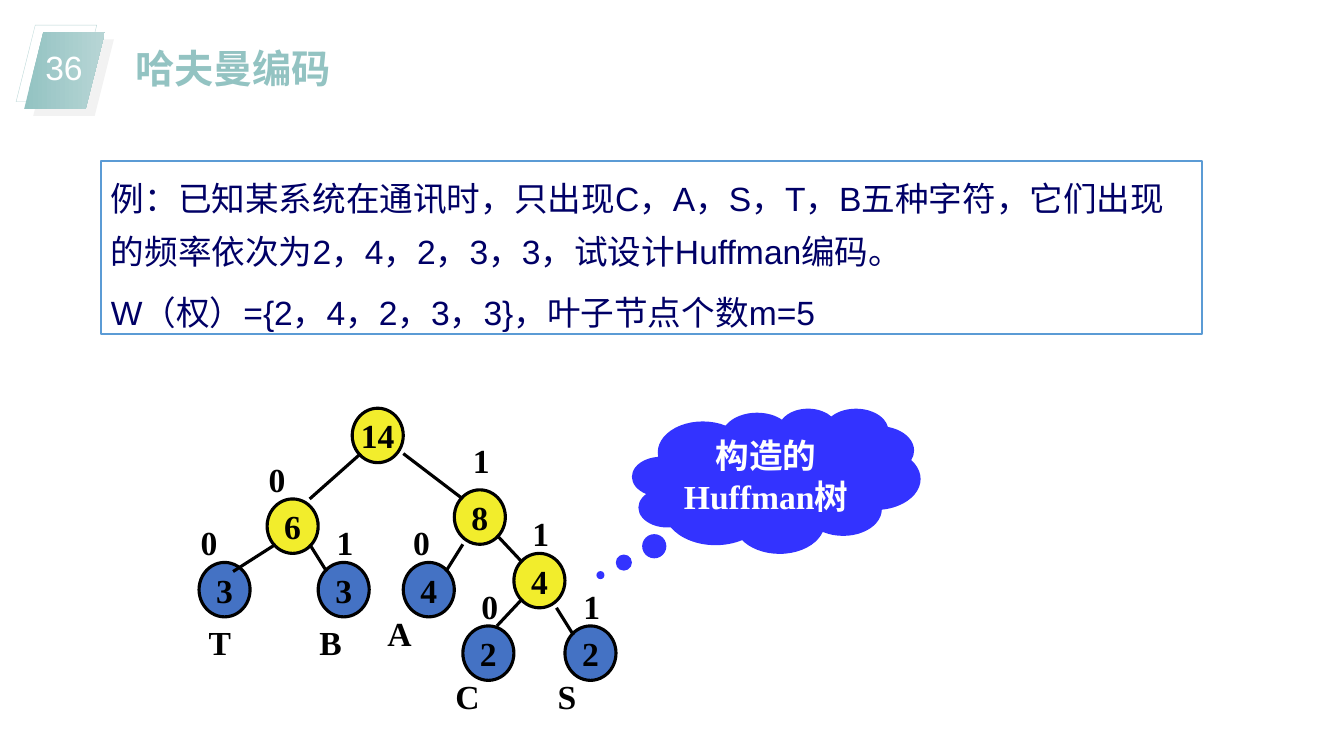
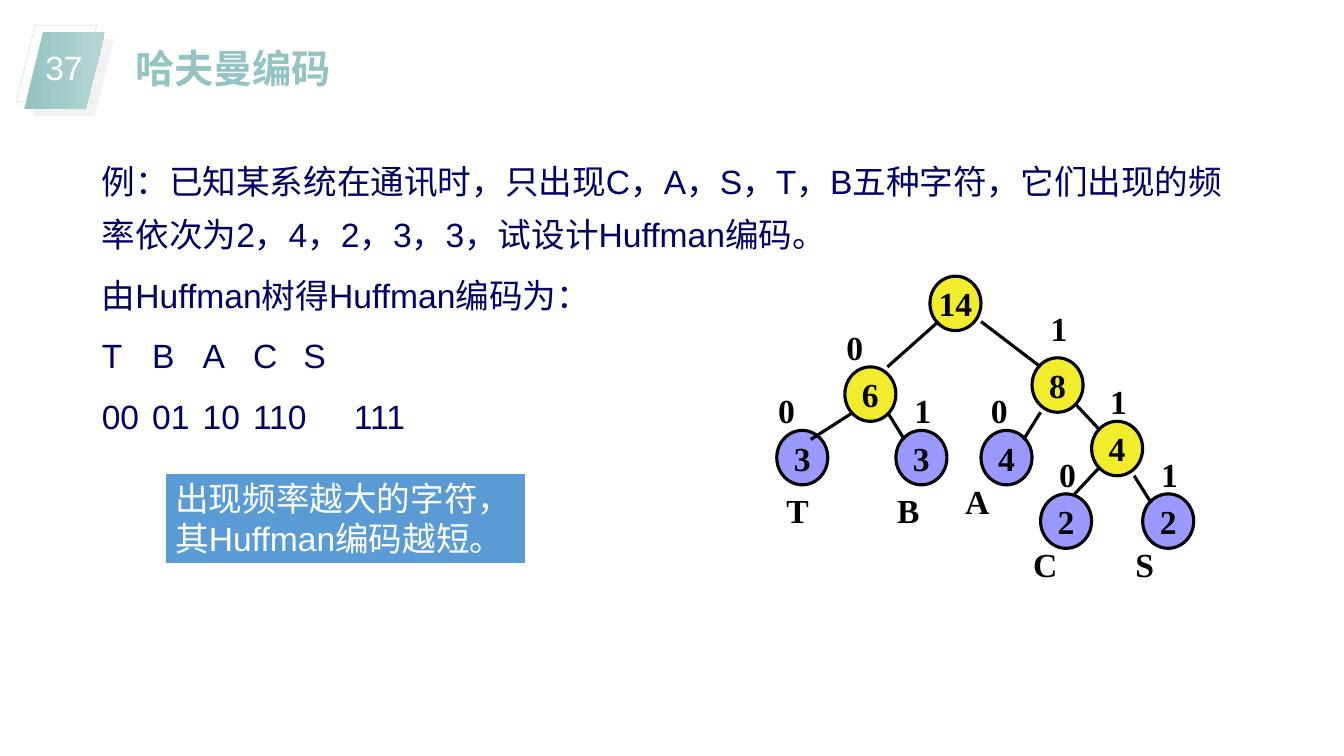
from lxml import etree
from pptx import Presentation
from pptx.dml.color import RGBColor
from pptx.enum.shapes import MSO_CONNECTOR, MSO_SHAPE
from pptx.enum.text import MSO_ANCHOR, MSO_AUTO_SIZE, PP_ALIGN
from pptx.oxml.ns import qn
from pptx.util import Inches, Pt

OVAL, RECT = MSO_SHAPE.OVAL, MSO_SHAPE.RECTANGLE
SLANT, CLOUD = MSO_SHAPE.PARALLELOGRAM, MSO_SHAPE.CLOUD_CALLOUT
STRAIGHT = MSO_CONNECTOR.STRAIGHT
TOP, MIDDLE = MSO_ANCHOR.TOP, MSO_ANCHOR.MIDDLE
LEFT, CENTER = PP_ALIGN.LEFT, PP_ALIGN.CENTER

WHITE = RGBColor(0xFF, 0xFF, 0xFF)
BLACK = RGBColor(0, 0, 0)
TEAL = RGBColor(0x93, 0xC3, 0xC2)
TEAL_LIGHT = RGBColor(0xB7, 0xD5, 0xD5)
TEAL_EDGE = RGBColor(0xBA, 0xD7, 0xD7)
PALE_GRAY = RGBColor(0xF2, 0xF2, 0xF2)
NAVY = RGBColor(0, 0, 0x66)
SKY = RGBColor(0x5B, 0x9B, 0xD5)
YELLOW = RGBColor(0xF2, 0xED, 0x2C)
LEAF_BLUE = RGBColor(0x44, 0x72, 0xC4)
LEAF_LILAC = RGBColor(0x99, 0x99, 0xFF)
CLOUD_BLUE = RGBColor(0x33, 0x33, 0xFF)

TITLE_FONT = {"name": "Arial", "size": Pt(28), "bold": True, "color": TEAL}
BODY_FONT = {"name": "Arial", "size": Pt(24), "bold": False, "color": NAVY}
WHITE_FONT = {**BODY_FONT, "color": WHITE}
TREE_FONT = {"name": "Times New Roman", "size": Pt(24), "bold": True, "color": BLACK}
CLOUD_FONT = {**TREE_FONT, "color": WHITE}

LEFT_TOP = {"vertical_anchor": TOP, "word_wrap": True, "auto_size": MSO_AUTO_SIZE.NONE}
CENTERED = {"vertical_anchor": MIDDLE, "word_wrap": False}
PLAIN = {"alignment": LEFT}
MIDDLED = {"alignment": CENTER}
SPACED = {"alignment": LEFT, "line_spacing": 1.3, "space_before": Pt(6)}

TITLE = "哈夫曼编码"
QUESTION = ("例：已知某系统在通讯时，只出现C，A，S，T，B五种字符，"
            "它们出现的频率依次为2，4，2，3，3，试设计Huffman编码。")

NODES = [("14", 19, 0), ("8", 31, 9), ("4", 38, 16), ("6", 9, 10)]
LEAVES = [("4", 25, 17), ("2", 32, 24), ("2", 44, 24), ("3", 1, 17), ("3", 15, 17)]
EDGES = [(25, 5, 32, 10), (32, 15, 30, 18), (39, 21, 36, 24), (43, 22, 45, 25),
         (36, 14, 39, 17), (20, 5, 14, 10), (10, 15, 5, 18), (14, 15, 16, 18)]
BITS = [("0", 8, 5), ("0", 25, 12), ("0", 33, 19), ("1", 32, 3),
        ("1", 39, 11), ("1", 45, 19), ("0", 0, 12), ("1", 16, 12)]
LETTERS = [("T", 0, 23), ("B", 13, 23), ("A", 21, 22), ("C", 29, 29), ("S", 41, 29)]
COL, ROW = Inches(4.22) / 50, Inches(0.09)

PAGES = [
    {"number": "36", "tree": (1.89, 4.05), "leaf": LEAF_BLUE,
     "body": (1, 1.6, 10.92, 1.71),
     "lines": [QUESTION, "W（权）={2，4，2，3，3}，叶子节点个数m=5"], "tabs": {}},
    {"number": "37", "tree": (7.62, 2.74), "leaf": LEAF_LILAC,
     "body": (0.91, 1.43, 11.64, 2.92),
     "lines": [QUESTION, "由Huffman树得Huffman编码为：",
               "T\tB\tA\tC\tS", "00\t01\t10\t110\t111"],
     "tabs": {2: (0.75, 1.42, 2.08, 3.07), 3: (0.74, 1.39, 2.04, 2.85)}},
]


def write(shape, lines, font, paragraph_format, frame_format):
    frame = shape.text_frame
    for key, value in frame_format.items():
        setattr(frame, key, value)
    frame.text = "\n".join(lines)
    for paragraph in frame.paragraphs:
        for key, value in paragraph_format.items():
            setattr(paragraph, key, value)
        for run in paragraph.runs:
            for key in ("name", "size", "bold"):
                setattr(run.font, key, font[key])
            run.font.color.rgb = font["color"]


def draw(shapes, kind, box, fill=None, line=None, width=1.5):
    shape = shapes.add_shape(kind, *box)
    shape.shadow.inherit = False
    for part, color in ((shape.fill, fill), (shape.line.fill, line)):
        if color is None:
            part.background()
        else:
            part.solid()
            part.fore_color.rgb = color
    if line is not None:
        shape.line.width = Pt(width)
    return shape


prs = Presentation()
prs.slide_width, prs.slide_height = Inches(13.33), Inches(7.5)
title_and_content = prs.slide_layouts[1]

for page in PAGES:
    slide = prs.slides.add_slide(title_and_content)
    shapes = slide.shapes
    title, body = slide.placeholders

    for holder, box in ((title, (1.24, 0.39, 2.57, 0.57)), (body, page["body"])):
        holder.left, holder.top, holder.width, holder.height = map(Inches, box)
    write(title, [TITLE], TITLE_FONT, PLAIN, LEFT_TOP)
    write(body, page["lines"], BODY_FONT, SPACED, LEFT_TOP)
    for index, paragraph in enumerate(body.text_frame.paragraphs):
        properties = paragraph._p.get_or_add_pPr()
        properties.set("marL", "0")
        properties.set("indent", "0")
        etree.SubElement(properties, qn("a:buNone"))
        if index in page["tabs"]:
            stops = etree.SubElement(properties, qn("a:tabLst"))
            for stop in page["tabs"][index]:
                etree.SubElement(stops, qn("a:tab"), pos=str(Inches(stop)), algn="l")

    for left, top, fill, edge in ((0.16, 0.25, None, TEAL_EDGE),
                                  (0.33, 0.39, PALE_GRAY, None),
                                  (0.24, 0.32, TEAL, None)):
        badge = draw(shapes, SLANT, map(Inches, (left, top, 0.8, 0.76)), fill, edge, 0.25)
    badge.fill.gradient()
    badge.fill.gradient_angle = 0
    for stop, color in zip(badge.fill.gradient_stops, (TEAL, TEAL_LIGHT)):
        stop.color.rgb = color
    page_number = shapes.add_textbox(*map(Inches, (0.33, 0.36, 0.61, 0.54)))
    write(page_number, [page["number"]], WHITE_FONT,
          {"alignment": CENTER, "line_spacing": 1.2}, CENTERED)

    x0, y0 = map(Inches, page["tree"])
    for group, fill in ((NODES, YELLOW), (LEAVES, page["leaf"])):
        for weight, col, row in group:
            box = (int(x0 + col * COL), y0 + row * ROW, int(6 * COL), 6 * ROW)
            node = draw(shapes, OVAL, box, fill, BLACK, 2.25)
            write(node, [weight], TREE_FONT, MIDDLED, CENTERED)
    for col1, row1, col2, row2 in EDGES:
        edge = shapes.add_connector(STRAIGHT, int(x0 + col1 * COL), y0 + row1 * ROW,
                                    int(x0 + col2 * COL), y0 + row2 * ROW)
        edge.line.color.rgb = BLACK
        edge.line.width = Pt(2.25)
        etree.SubElement(edge._element.spPr, qn("a:effectLst"))
    for group, columns, inset in ((BITS, 7, 0.1), (LETTERS, 11, 0.18)):
        for text, col, row in group:
            label = shapes.add_textbox(int(x0 + col * COL), y0 + row * ROW,
                                       int(columns * COL), Inches(0.5))
            write(label, [text], TREE_FONT, PLAIN,
                  {**LEFT_TOP, "margin_left": Inches(inset)})

    if page["number"] == "36":
        body.fill.solid()
        body.fill.fore_color.rgb = WHITE
        body.line.color.rgb = SKY
        body.line.width = Pt(1.5)
        cloud = draw(shapes, CLOUD, map(Inches, (6.27, 4.05, 2.86, 1.44)), CLOUD_BLUE)
        cloud.adjustments[0], cloud.adjustments[1] = -0.61, 0.65
        write(cloud, ["构造的Huffman树"], CLOUD_FONT, MIDDLED, LEFT_TOP)
    else:
        rule = draw(shapes, RECT, map(Inches, (1.64, 4.69, 3.58, 0.91)), SKY, WHITE)
        write(rule, ["出现频率越大的字符，其Huffman编码越短。"], WHITE_FONT, PLAIN, LEFT_TOP)

prs.save("out.pptx")
